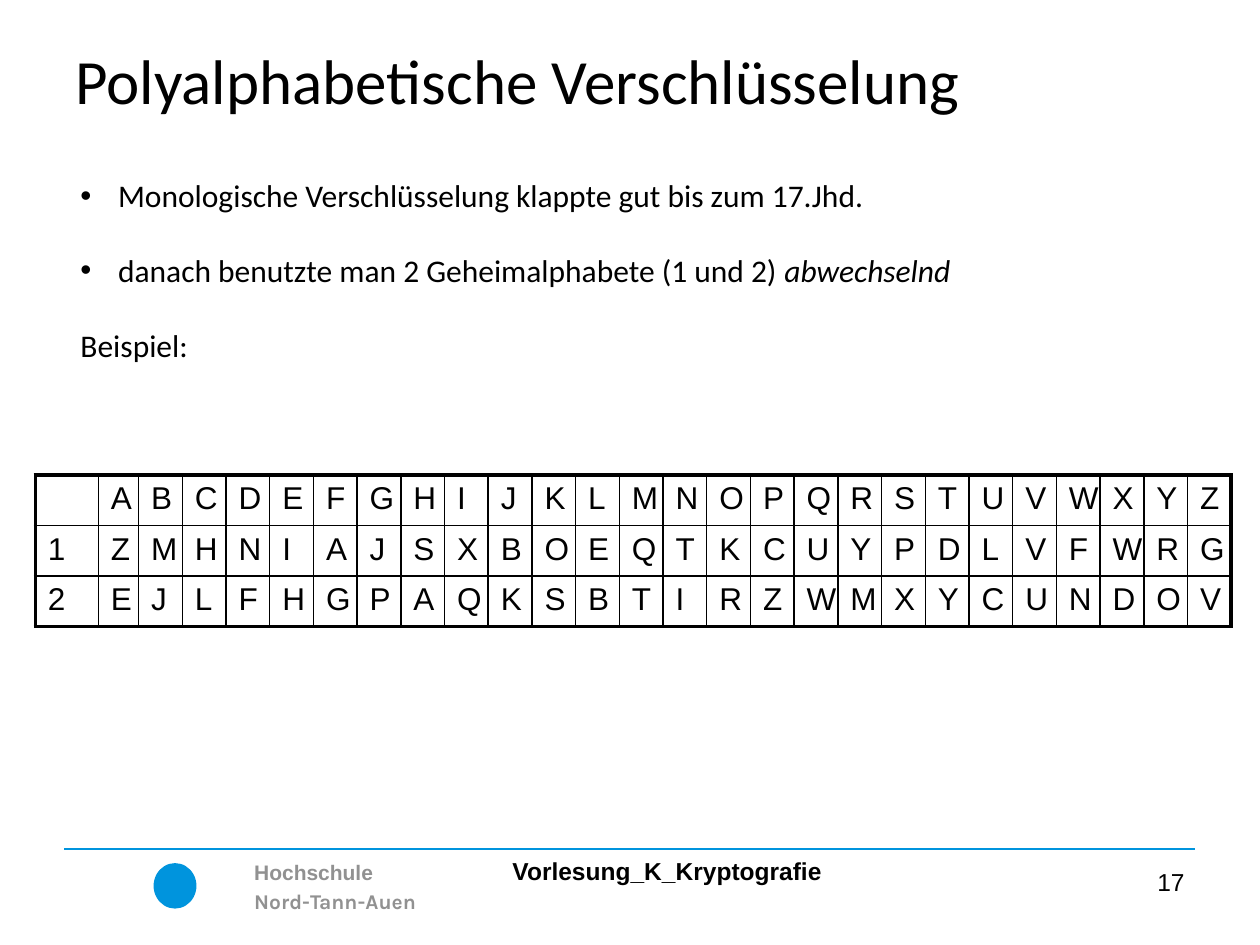
from lxml.etree import SubElement as Sub
from pptx import Presentation
from pptx.dml.color import RGBColor as RGB
from pptx.enum.shapes import MSO_CONNECTOR as LINK, MSO_SHAPE as SHAPE
from pptx.enum.text import MSO_ANCHOR as ANCHOR, PP_ALIGN as ALIGN
from pptx.oxml.ns import qn
from pptx.util import Pt

INK = {"black": "000000", "blue": "0094DD", "gray": "919191", "shade": "C0C0C0"}


def style(para, size, face="Arial", ink="black", bold=False):
    for run in para.runs:
        run.font.size = Pt(size)
        run.font.name = face
        run.font.bold = bold
        run.font.color.rgb = RGB.from_string(INK[ink])


def add_box(left, top, width, height, text):
    box = slide.shapes.add_textbox(Pt(left), Pt(top), Pt(width), Pt(height))
    frame = box.text_frame
    frame.word_wrap = True
    frame.text = text
    return frame


deck = Presentation()
deck.slide_width, deck.slide_height = Pt(720), Pt(540)
slide = deck.slides.add_slide(deck.slide_layouts[6])

# Footer: plain dot, rule, school, lecture and page number
dot = slide.shapes.add_shape(SHAPE.OVAL, Pt(87.8), Pt(493.2), Pt(24.5), Pt(26))
dot.shadow.inherit = False
dot.fill.solid()
dot.fill.fore_color.rgb = RGB.from_string(INK["blue"])
dot.line.fill.background()

rule = slide.shapes.add_connector(LINK.STRAIGHT, Pt(36.7), Pt(485.3), Pt(682.6), Pt(485.3))
rule.line.color.rgb = RGB.from_string(INK["blue"])
rule.line.width = Pt(1)
Sub(rule._element.spPr, qn("a:effectLst"))

school = add_box(138.2, 485.3, 182.2, 40.3, "Hochschule\nNord-Tann-Auen")
for para, face in zip(school.paragraphs, ("Arial", "Karla")):
    para.line_spacing = 1.15
    style(para, 12, face, "gray", True)

talk = add_box(285.8, 483.1, 205.9, 26.6, "Vorlesung_K_Kryptografie").paragraphs[0]
talk.line_spacing = 1.15
style(talk, 14, bold=True)

page = add_box(516.2, 491.8, 167.8, 37.4, "17").paragraphs[0]
page.alignment = ALIGN.RIGHT
style(page, 14)

# Title with a soft text shadow
title = add_box(36, 20.2, 648, 49.7, "Polyalphabetische Verschlüsselung")
title.vertical_anchor = ANCHOR.MIDDLE
style(title.paragraphs[0], 36, "Calibri")
props = title.paragraphs[0].runs[0].font._element
effects = props.makeelement(qn("a:effectLst"), {})
props.find(qn("a:solidFill")).addnext(effects)
shade = Sub(effects, qn("a:outerShdw"), dist="25400", dir="2700000")
Sub(shade, qn("a:srgbClr"), val=INK["shade"])

# Points
body = add_box(38.9, 97.2, 617.8, 115.2, "\n".join((
    "Monologische Verschlüsselung klappte gut bis zum 17.Jhd.",
    "danach benutzte man 2 Geheimalphabete (1 und 2) ",
    "Beispiel:")))
first, second, sample = body.paragraphs
second.add_run().text = "abwechselnd"
for para in body.paragraphs:
    style(para, 18, "Calibri", bold=para is sample)
second.runs[1].font.italic = True
for para in (first, second):
    para.space_after = Pt(21.2)
    props = para._p.get_or_add_pPr()
    props.set("marL", str(Pt(21.5)))
    props.set("indent", str(-Pt(21.5)))
    Sub(props, qn("a:buFont"), typeface="Arial")
    Sub(props, qn("a:buChar"), char="•")

# Cipher table: plain alphabet above the two secret ones
rows = (
    ("", "ABCDEFGHIJKLMNOPQRSTUVWXYZ"),
    ("1", "ZMHNIAJSXBOEQTKCUYPDLVFWRG"),
    ("2", "EJLFHGPAQKSBTIRZWMXYCUNDOV"),
)
widths = [36, 23] + [25] * 25
last_row, last_col = len(rows) - 1, len(widths) - 1
grid = slide.shapes.add_table(len(rows), len(widths), Pt(20.2), Pt(271.4),
                              Pt(sum(widths)), Pt(86.4)).table
grid.first_row = grid.horz_banding = False
for col, width in zip(grid.columns, widths):
    col.width = Pt(width)

for r, (key, word) in enumerate(rows):
    grid.rows[r].height = Pt(28.8)
    for c, text in enumerate([key, *word]):
        cell = grid.cell(r, c)
        cell.text = text
        style(cell.text_frame.paragraphs[0], 18)
        props = cell._tc.get_or_add_tcPr()
        edges = {"L": c == 0, "R": c == last_col, "T": r == 0, "B": r == last_row}
        for side, outer in edges.items():
            edge = Sub(props, qn("a:ln" + side), w=str(Pt(2.25 if outer else 1)))
            Sub(Sub(edge, qn("a:solidFill")), qn("a:srgbClr"), val=INK["black"])
        cell.fill.background()

deck.save("out.pptx")
